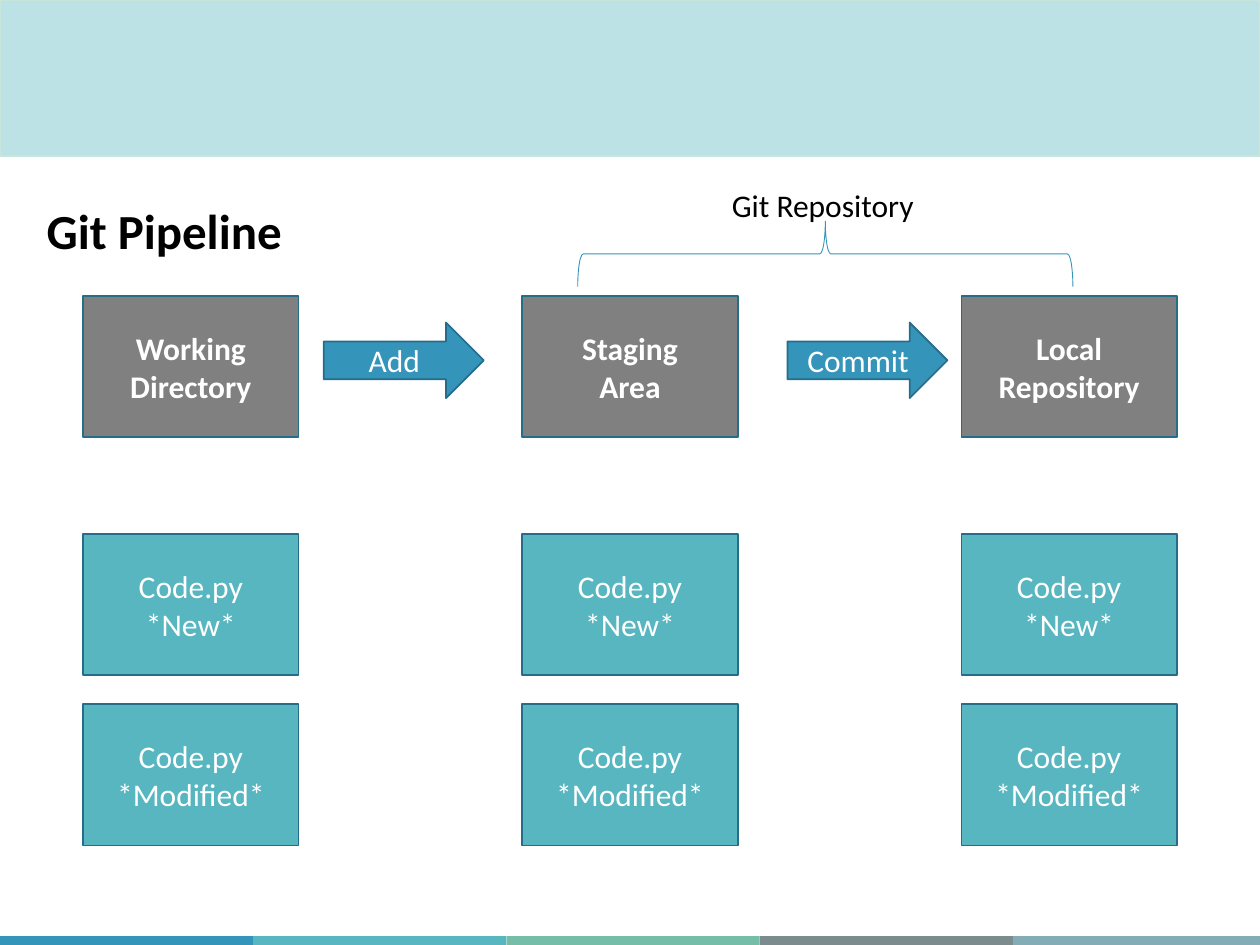
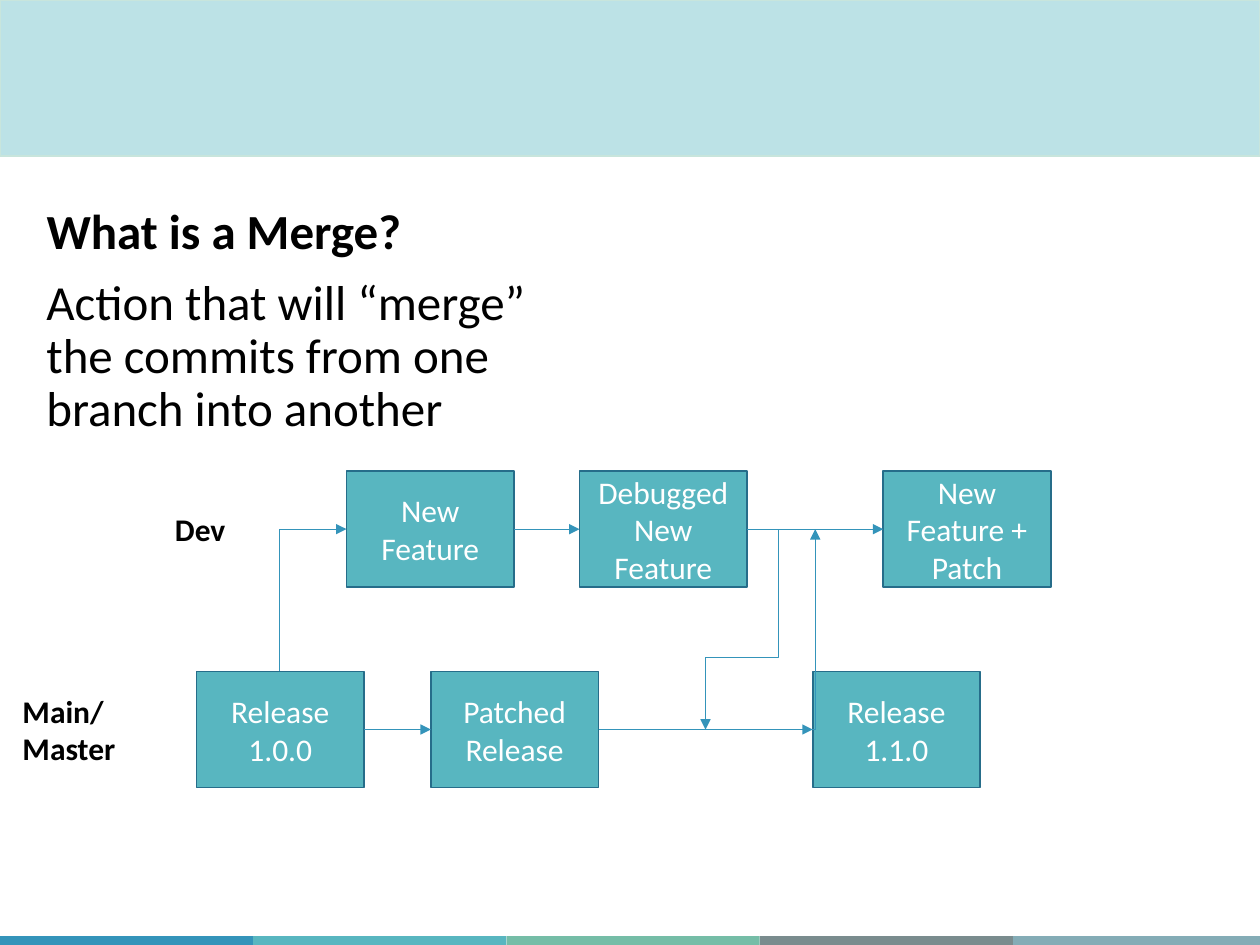
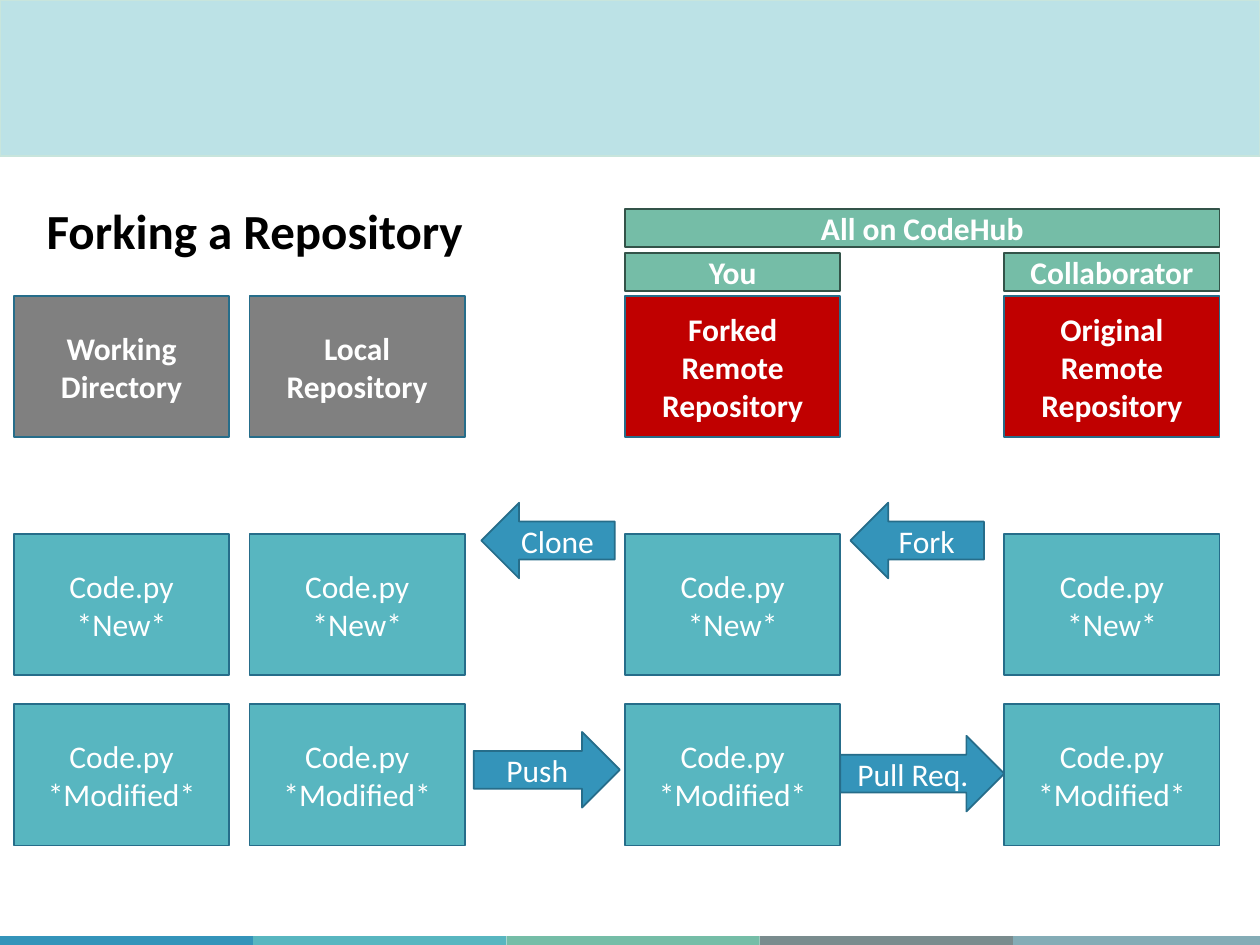
from lxml import etree
from pptx import Presentation
from pptx import util as u
from pptx.dml.color import RGBColor
from pptx.enum import shapes, text
from pptx.oxml.ns import qn

BLUE = RGBColor(0x34, 0x94, 0xBA)
TEAL = RGBColor(0x58, 0xB6, 0xC0)
GREEN = RGBColor(0x75, 0xBD, 0xA7)
SLATE = RGBColor(0x7A, 0x8C, 0x8E)
MIST = RGBColor(0x84, 0xAC, 0xB6)
PALE = RGBColor(0xBC, 0xE2, 0xE6)
PALE_EDGE = RGBColor(0xC8, 0xE5, 0xDC)
GRAY = RGBColor(0x80, 0x80, 0x80)
RED = RGBColor(0xC0, 0x00, 0x00)
BLUE_EDGE = RGBColor(0x26, 0x6D, 0x8A)
GREEN_EDGE = RGBColor(0x33, 0x53, 0x49)
WHITE = RGBColor(0xFF, 0xFF, 0xFF)
BLACK = RGBColor(0x00, 0x00, 0x00)

FONT = "Calibri"
COLUMNS = 100
ROWS = 75
KIND = shapes.MSO_SHAPE
HEAD_ROW, NEW_ROW, MODIFIED_ROW = 23.5, 42.4, 55.9
CARD = (17.1, 11.2)
STEP = (13.3, 9.2)


class Board:
    def __init__(self):
        self.deck = Presentation()
        self.deck.slide_width = u.Inches(10)
        self.deck.slide_height = u.Inches(7.5)
        self.layout = self.deck.slide_layouts[5]
        self.page = None

    def x(self, column):
        return round(self.deck.slide_width * column / COLUMNS)

    def y(self, row):
        return round(self.deck.slide_height * row / ROWS)

    def frame(self, column, row, width, height):
        return self.x(column), self.y(row), self.x(width), self.y(height)

    def add_page(self, title):
        self.page = self.deck.slides.add_slide(self.layout)
        if len(self.deck.slides) == 1:
            self.furnish_layout()
        box = self.page.shapes.title
        box.left, box.top, box.width, box.height = self.frame(2.7, 15.9, 44.6, 5.3)
        self.set_words(box, title, 28, BLACK, True, text.PP_ALIGN.LEFT)
        self.set_heading_lines(box)

    def furnish_layout(self):
        parts = [self.block("", (0, 0, 100, 12.4), PALE, PALE_EDGE)]
        for index, color in enumerate((BLUE, TEAL, GREEN, SLATE, MIST)):
            column = index * 20.1
            width = min(20.1, COLUMNS - column)
            parts.append(self.block("", (column, 74.3, width, 0.7), color, None))
        for part in parts:
            self.layout.shapes.element.append(part.element)

    def set_words(self, box, words, size, color, bold, align, anchor=text.MSO_ANCHOR.TOP):
        frame = box.text_frame
        frame.text = words
        frame.word_wrap = True
        frame.auto_size = text.MSO_AUTO_SIZE.NONE
        frame.vertical_anchor = anchor
        for para in frame.paragraphs:
            para.alignment = align
            for span in para.runs:
                span.font.name = FONT
                span.font.size = u.Pt(size)
                span.font.bold = bold
                span.font.color.rgb = color

    def set_heading_lines(self, box):
        for para in box.text_frame.paragraphs:
            para.line_spacing = 0.9

    def label(self, words, place, size=18, bold=False):
        box = self.page.shapes.add_textbox(*self.frame(*place))
        self.set_words(box, words, size, BLACK, bold, text.PP_ALIGN.LEFT)
        return box

    def block(self, words, place, fill, edge=BLUE_EDGE, bold=False, kind=KIND.RECTANGLE):
        box = self.page.shapes.add_shape(kind, *self.frame(*place))
        box.shadow.inherit = False
        box.fill.solid()
        box.fill.fore_color.rgb = fill
        if edge is None:
            box.line.fill.background()
        else:
            box.line.color.rgb = edge
            box.line.width = u.Pt(1)
        if words:
            self.set_words(box, words, 18, WHITE, bold, text.PP_ALIGN.CENTER,
                           text.MSO_ANCHOR.MIDDLE)
        return box

    def file_column(self, column, heading, fill=GRAY):
        self.block(heading, (column, HEAD_ROW, *CARD), fill, bold=True)
        for row, state in ((NEW_ROW, "New"), (MODIFIED_ROW, "Modified")):
            self.block(f"Code.py\n*{state}*", (column, row, *CARD), TEAL)

    def arrow(self, words, column, row, width, kind=KIND.RIGHT_ARROW):
        self.block(words, (column, row, width, 6), BLUE, kind=kind)

    def banner(self, words, column, row, width):
        self.block(words, (column, row, width, 3), GREEN, GREEN_EDGE, True)

    def brace(self, place):
        brace = self.page.shapes.add_shape(KIND.LEFT_BRACE, *self.frame(*place))
        brace.rotation = 90
        brace.shadow.inherit = False
        brace.fill.background()
        brace.line.color.rgb = BLUE
        brace.line.width = u.Pt(0.5)

    def connector(self, begin, end, kind=shapes.MSO_CONNECTOR.STRAIGHT):
        line = self.page.shapes.add_connector(
            kind, self.x(begin[0]), self.y(begin[1]), self.x(end[0]), self.y(end[1]))
        line.line.color.rgb = BLUE
        line.line.width = u.Pt(0.5)
        properties = line.element.spPr
        etree.SubElement(properties.find(qn("a:ln")), qn("a:tailEnd"), type="triangle")
        etree.SubElement(properties, qn("a:effectLst"))
        return line

    def link(self, source, target):
        line = self.connector((0, 0), (1, 1))
        line.begin_connect(source, 3)
        line.end_connect(target, 1)

    def elbow(self, begin, end, preset, bends=()):
        line = self.connector(begin, end, shapes.MSO_CONNECTOR.ELBOW)
        geometry = line.element.spPr.find(qn("a:prstGeom"))
        geometry.set("prst", preset)
        guides = geometry.find(qn("a:avLst"))
        for number, bend in enumerate(bends, 1):
            etree.SubElement(guides, qn("a:gd"), name=f"adj{number}",
                             fmla=f"val {round(bend * 100000)}")
        return line

    def rising_corner(self, begin, end):
        middle_x, middle_y = (begin[0] + end[0]) / 2, (begin[1] + end[1]) / 2
        half_x, half_y = (begin[0] - end[0]) / 2, (begin[1] - end[1]) / 2
        line = self.elbow((middle_x + half_y, middle_y - half_x),
                          (middle_x - half_y, middle_y + half_x), "bentConnector2")
        line.element.spPr.find(qn("a:xfrm")).set("rot", str(90 * 60000))


def pipeline_page(board):
    board.add_page("Git Pipeline")
    headings = ("Working\nDirectory", "Staging\nArea", "Local Repository")
    for index, heading in enumerate(headings):
        board.file_column(6.6 + index * 34.85, heading)
    board.arrow("Add", 25.7, 25.6, 12.7)
    board.arrow("Commit", 62.5, 25.6, 12.7)
    board.brace((62.9, 0.5, 5.2, 39.3))
    board.label("Git Repository", (57.1, 14.3, 18.1, 4))


def merge_page(board):
    board.add_page("What is a Merge?")
    summary = board.label("Action that will “merge” the commits from one branch into another",
                          (2.7, 21.6, 44.6, 14), 28)
    board.set_heading_lines(summary)
    dev_row, main_row = 37.4, 53.3
    dev_line, main_line = dev_row + STEP[1] / 2, main_row + STEP[1] / 2
    board.label("Dev", (12.9, 40, 10.2, 4), bold=True)
    board.label("Main/Master", (0.8, 54.4, 10.2, 7.1), bold=True)

    branches = (
        (dev_row, ((27.5, "New Feature"), (46, "Debugged New Feature"),
                   (70.1, "New Feature + Patch"))),
        (main_row, ((15.6, "Release 1.0.0"), (34.2, "Patched Release"),
                    (64.5, "Release 1.1.0"))),
    )
    for row, steps in branches:
        boxes = [board.block(words, (column, row, *STEP), TEAL) for column, words in steps]
        for source, target in zip(boxes, boxes[1:]):
            board.link(source, target)

    board.rising_corner((22.2, main_row), (27.5, dev_line))
    board.elbow((59.3, dev_line), (56, main_line), "bentConnector4", (-0.75, 0.64))
    board.elbow((47.5, main_line), (64.7, dev_line), "bentConnector3", (1,))


def forking_page(board):
    board.add_page("Forking a Repository")
    you, collaborator = 49.6, 79.7
    board.file_column(1.1, "Working\nDirectory")
    board.file_column(19.8, "Local Repository")
    board.file_column(you, "Forked Remote Repository", RED)
    board.file_column(collaborator, "Original Remote Repository", RED)
    board.banner("All on CodeHub", you, 16.6, collaborator + CARD[0] - you)
    board.banner("You", you, 20.1, CARD[0])
    board.banner("Collaborator", collaborator, 20.1, CARD[0])
    board.arrow("Clone", 38.2, 39.9, 10.6, KIND.LEFT_ARROW)
    board.arrow("Fork", 67.5, 39.9, 10.6, KIND.LEFT_ARROW)
    board.arrow("Push", 37.6, 58.1, 11.6)
    board.arrow("Pull Req.", 66.7, 58.4, 13)


def main():
    board = Board()
    pipeline_page(board)
    merge_page(board)
    forking_page(board)
    board.deck.save("out.pptx")


if __name__ == "__main__":
    main()
